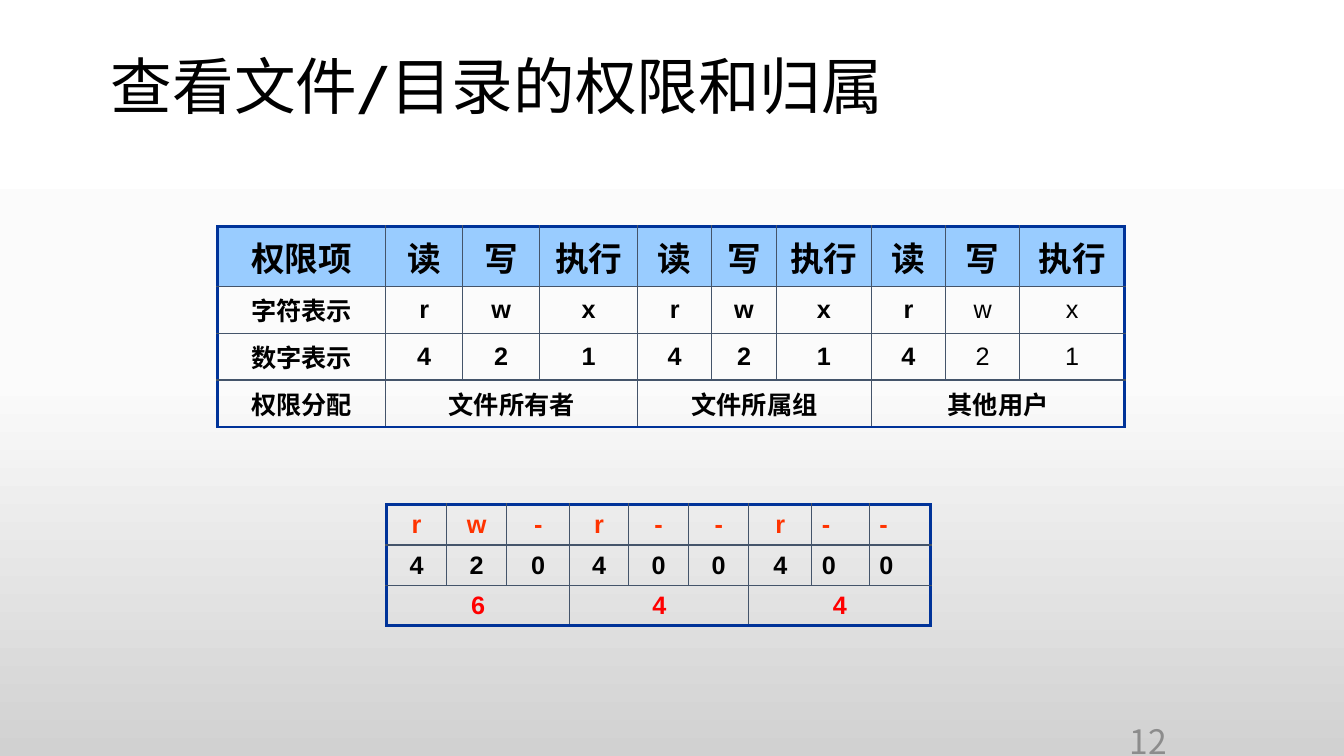
from copy import deepcopy

from lxml.etree import SubElement
from pptx import Presentation
from pptx.dml.color import RGBColor
from pptx.enum.text import MSO_ANCHOR, PP_ALIGN
from pptx.oxml.ns import qn
from pptx.util import Pt

INK = {
    "text": "000000", "page": "8C8C8C", "head": "99CCFF",
    "frame": "003399", "grid": "44546A", "flag": "FF3300", "sum": "FF0000",
}
FADE = {0: "FFFFFF", 0.5: "FBFBFB", 1: "D1D1D1"}
CJK = "Noto Sans CJK SC"
PLAIN = "{2D5ABB26-0587-4C30-8999-92F81FD0307C}"  # table style without grid


def add_run(para, text, size, font, color="text", bold=False):
    """Add one formatted run to a paragraph."""
    run = para.add_run()
    run.text = text
    run.font.size = Pt(size)
    run.font.name = font
    run.font.bold = bold
    run.font.color.rgb = RGBColor.from_string(INK[color])
    SubElement(run.font._element, qn("a:ea"), typeface=CJK)


def add_fade(slide):
    """Fill the background with the grey fade from top to bottom."""
    fill = slide.background.fill
    fill.gradient()
    fill.gradient_angle = 270
    stops = next(slide.element.iter(qn("a:gsLst")))
    stops.append(deepcopy(stops[0]))
    for stop, (pos, color) in zip(fill.gradient_stops, FADE.items()):
        stop.position = pos
        stop.color.rgb = RGBColor.from_string(color)


def add_title(slide, box, text):
    """Place and format the title."""
    title = slide.shapes.title
    title.left, title.top, title.width, title.height = map(Pt, box)
    frame = title.text_frame
    frame.vertical_anchor = MSO_ANCHOR.MIDDLE
    para = frame.paragraphs[0]
    para.alignment = PP_ALIGN.LEFT
    para.line_spacing = 0.9
    add_run(para, text, 44, "Cabin")


def add_page(slide, box, text):
    """Place the page number."""
    frame = slide.shapes.add_textbox(*map(Pt, box)).text_frame
    frame.word_wrap = True
    frame.vertical_anchor = MSO_ANCHOR.MIDDLE
    para = frame.paragraphs[0]
    para.alignment = PP_ALIGN.RIGHT
    add_run(para, text, 24, CJK, "page")


def add_edge(cell, outer):
    """Draw the four cell borders; sides in outer get the frame line."""
    props = cell._tc.get_or_add_tcPr()
    for side in "LRTB":
        color, width = ("frame", 2.25) if side in outer else ("grid", 1)
        line = SubElement(props, qn(f"a:ln{side}"), w=str(Pt(width)))
        fill = SubElement(line, qn("a:solidFill"))
        SubElement(fill, qn("a:srgbClr"), val=INK[color])


def add_grid(slide, spot, cols, highs, rows, style):
    """Add a framed table; a short row spans three columns per group.

    style(row, col) gives size, color, bold, alignment and fill of a cell.
    """
    box = (*spot, sum(cols), sum(highs))
    shape = slide.shapes.add_table(len(rows), len(cols), *map(Pt, box))
    table = shape.table
    table.first_row = table.horz_banding = False
    next(table._tbl.iter(qn("a:tableStyleId"))).text = PLAIN
    for col, width in zip(table.columns, cols):
        col.width = Pt(width)
    for row, high in zip(table.rows, highs):
        row.height = Pt(high)
    lead = len(cols) % 3
    for r, texts in enumerate(rows):
        short = len(texts) < len(cols)
        for i, text in enumerate(texts):
            span = 3 if short and i >= lead else 1
            c = lead + 3 * (i - lead) if span == 3 else i
            cell = table.cell(r, c)
            if span == 3:
                cell.merge(table.cell(r, c + 2))
            ends = {"L": c == 0, "R": c + span == len(cols),
                    "T": r == 0, "B": r == len(rows) - 1}
            add_edge(cell, [side for side in ends if ends[side]])
            size, color, bold, align, fill = style(r, c)
            if fill:
                cell.fill.solid()
                cell.fill.fore_color.rgb = RGBColor.from_string(INK[fill])
            else:
                cell.fill.background()
            para = cell.text_frame.paragraphs[0]
            para.alignment = align
            add_run(para, text, size, "Arial", color, bold)
            cell.vertical_anchor = MSO_ANCHOR.MIDDLE


def right_style(row, col):
    """Style the table of permissions."""
    head = row == 0
    bold = col < 8 or row not in (1, 2)
    return 24 if head else 18, "text", bold, PP_ALIGN.CENTER, head and "head"


def sample_style(row, col):
    """Style the worked example."""
    align = PP_ALIGN.LEFT if col > 6 else PP_ALIGN.CENTER
    return 18, ("flag", "text", "sum")[row], True, align, None


def main():
    """Build the slide and save it."""
    deck = Presentation()
    deck.slide_width, deck.slide_height = Pt(960), Pt(540)
    slide = deck.slides.add_slide(deck.slide_layouts[5])
    add_fade(slide)
    add_title(slide, (72, 30, 810, 68.5), "查看文件/目录的权限和归属")
    add_page(slide, (788.5, 510.5, 52, 37.5), "12")
    add_grid(
        slide, (155.5, 162),
        (120, 55, 55, 70, 53, 46, 68, 53, 53, 75),
        (42.5, 33.5, 33.5, 33.5),
        [["权限项"] + ["读", "写", "执行"] * 3,
         ["字符表示", *"rwx" * 3],
         ["数字表示", *"421" * 3],
         ["权限分配", "文件所有者", "文件所属组", "其他用户"]],
        right_style)
    add_grid(
        slide, (276, 360.5),
        (43, 43, 45, 42, 43, 43, 45, 41, 44), (27.5,) * 3,
        ["rw-r--r--", "420400400", "644"], sample_style)
    deck.save("out.pptx")


main()
